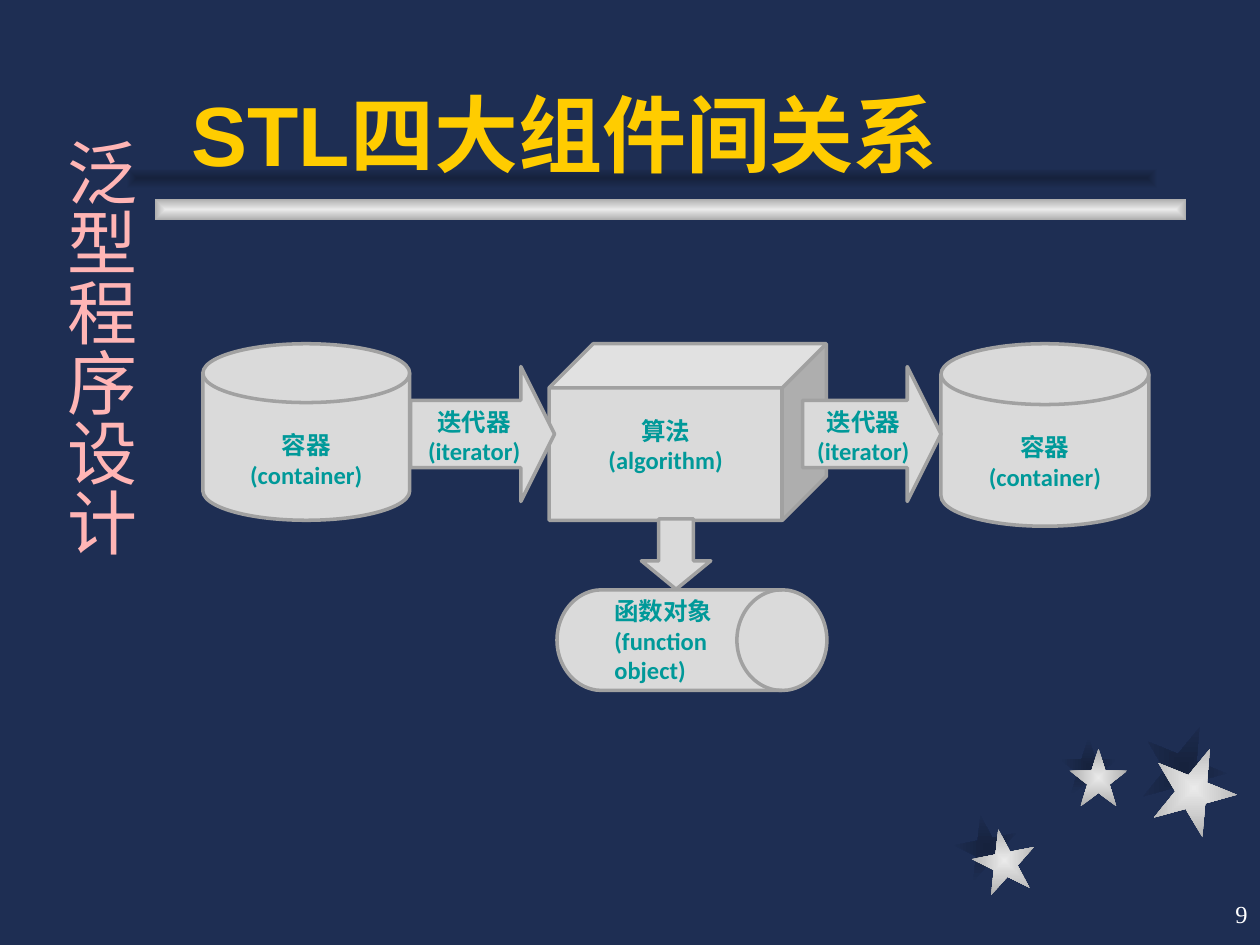
import pptx
import pptx.util
import pptx.dml.color
import pptx.enum.shapes
import pptx.enum.text
import pptx.oxml

Cm = pptx.util.Cm
Pt = pptx.util.Pt
Kind = pptx.enum.shapes.MSO_SHAPE
Align = pptx.enum.text.PP_ALIGN
Anchor = pptx.enum.text.MSO_ANCHOR
tint = {
    name: pptx.dml.color.RGBColor.from_string(code)
    for name, code in {
        "back": "1E2E53", "shade": "16223D", "light": "EAEAEA", "grey": "ADADAD",
        "gold": "FFCC00", "white": "FFFFFF", "pink": "FFB5B5",
        "face": "DADADA", "edge": "A1A1A1", "teal": "009999",
    }.items()
}
glow = (
    '<a:path xmlns:a="http://schemas.openxmlformats.org/drawingml/2006/main" path="rect">'
    '<a:fillToRect l="50000" t="50000" r="50000" b="50000"/></a:path>'
)


def shine(kind, box, inner, outer, turn=0):
    shape = slide.shapes.add_shape(kind, *map(Cm, box))
    shape.shadow.inherit = False
    shape.rotation = turn
    shape.line.fill.background()
    shape.fill.gradient()
    for stop, name in zip(shape.fill.gradient_stops, (inner, outer)):
        stop.color.rgb = tint[name]
    lin = shape._element.spPr.find(".//" + pptx.oxml.ns.qn("a:lin"))
    lin.getparent().replace(lin, pptx.oxml.parse_xml(glow))


def write(shape, text, size, font, color, align, bold=False):
    frame = shape.text_frame
    frame.word_wrap = True
    frame.text = text
    for line in frame.paragraphs:
        line.alignment = align
        for run in line.runs:
            run.font.size = Pt(size)
            run.font.name = font
            run.font.bold = bold
            run.font.color.rgb = tint[color]
    return frame


deck = pptx.Presentation()
deck.slide_width = Cm(25.4)
deck.slide_height = Cm(19.05)
slide = deck.slides.add_slide(deck.slide_layouts[6])
slide.background.fill.solid()
slide.background.fill.fore_color.rgb = tint["back"]

dark = ("shade", "back")
pale = ("light", "grey")
for left, top, size, turn, pair in [
    (19.25, 16.43, 1.27, 349, dark),
    (21.36, 14.86, 1.17, 0, dark),
    (23.01, 14.61, 1.7, 22, dark),
    (19.61, 16.71, 1.27, 349, pale),
    (21.56, 15.09, 1.17, 0, pale),
    (23.22, 15.04, 1.7, 22, pale),
]:
    shine(Kind.STAR_5_POINT, (left, top, size, size), *pair, turn)
for left, top, pair in [(3.12, 4.01, pale), (2.54, 3.38, dark)]:
    shine(Kind.RECTANGLE, (left, top, 20.8, 0.43), *pair)

title = slide.shapes.add_textbox(Cm(3.61), Cm(0.64), Cm(19.89), Cm(3.18))
frame = write(title, "STL四大组件间关系", 48, "Arial", "gold", Align.LEFT, True)
frame.vertical_anchor = Anchor.BOTTOM

page = slide.shapes.add_textbox(Cm(20.12), Cm(17.78), Cm(5.28), Cm(1.27))
frame = write(page, "9", 14, "Times New Roman", "white", Align.RIGHT)
frame.vertical_anchor = Anchor.MIDDLE

side = slide.shapes.add_textbox(Cm(0.74), Cm(2.54), Cm(2.24), Cm(13.77))
frame = write(side, "泛型程序设计", 40, "Noto Sans CJK SC", "pink", Align.LEFT)
frame._txBody.bodyPr.set("vert", "eaVert")

disk = Kind.FLOWCHART_MAGNETIC_DISK
drum = Kind.FLOWCHART_DIRECT_ACCESS_STORAGE
store = "容器\n(container)"
step = "迭代器\n(iterator)"
for kind, box, adjust, text, inset, align in [
    (disk, (4.09, 6.93, 4.17, 3.56), [], store, 0.56, Align.CENTER),
    (Kind.CUBE, (11.07, 6.93, 5.59, 3.56), [0.25], "算法\n(algorithm)", 0.56, Align.CENTER),
    (disk, (18.97, 6.93, 4.19, 3.68), [], store, 0.56, Align.CENTER),
    (Kind.RIGHT_ARROW, (16.18, 7.39, 2.79, 2.72), [0.5, 0.25], step, 0.13, Align.CENTER),
    (drum, (11.23, 11.89, 5.44, 2.03), [], "函数对象\n(function\vobject)", 0.13, Align.LEFT),
    (Kind.DOWN_ARROW, (12.93, 10.46, 1.4, 1.42), [0.5, 0.41], "", 0.13, Align.CENTER),
    (Kind.RIGHT_ARROW, (8.28, 7.39, 2.9, 2.72), [0.5, 0.25], step, 0.13, Align.CENTER),
]:
    shape = slide.shapes.add_shape(kind, *map(Cm, box))
    shape.shadow.inherit = False
    shape.fill.solid()
    shape.fill.fore_color.rgb = tint["face"]
    shape.line.color.rgb = tint["edge"]
    shape.line.width = Pt(2)
    for index, value in enumerate(adjust):
        shape.adjustments[index] = value
    if text:
        frame = write(shape, text, 14, "Calibri", "teal", align, True)
        frame.vertical_anchor = Anchor.TOP
        frame.margin_top = Cm(inset)

deck.save("out.pptx")
